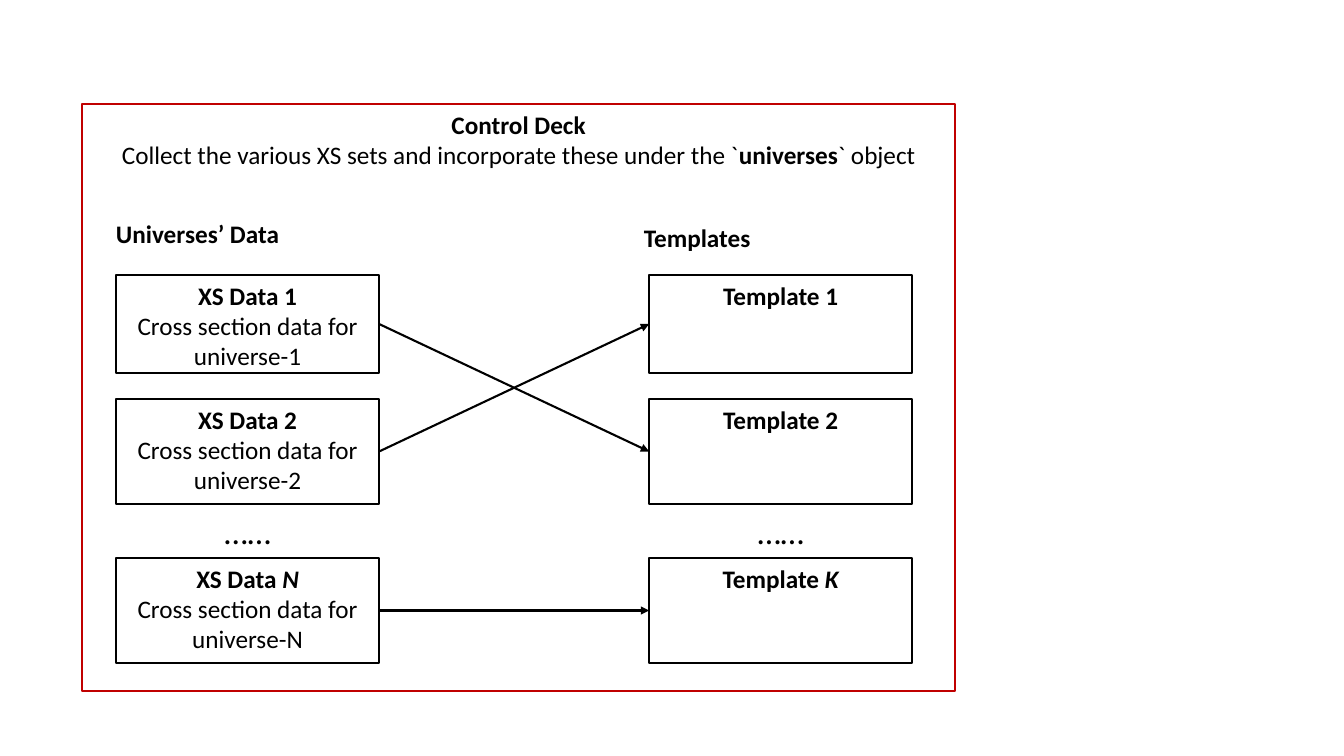
from lxml import etree
from pptx import Presentation
from pptx import util as u
from pptx.dml.color import RGBColor
from pptx.enum import shapes, text
from pptx.oxml.ns import qn

COLORS = {"ink": "000000", "frame": "C00000"}
FONT = "Calibri"
SCALE = 914400 / 100.8

DECK = [
    [("Control Deck", "b")],
    [("Collect the various XS sets and incorporate these under the `", ""),
     ("universes", "b"), ("` object", "")],
]
DATA = [
    [[("XS Data 1", "b")], [("Cross section data for universe-1", "")]],
    [[("XS Data 2", "b")], [("Cross section data for universe-2", "")]],
    [[("XS Data ", "b"), ("N", "bi")], [("Cross section data for universe-N", "")]],
]
TEMPLATES = [
    [[("Template 1", "b")]],
    [[("Template 2", "b")]],
    [[("Template ", "b"), ("K", "bi")]],
]
HEADINGS = [("Universes’ Data", (81, 213, 233, 40)), ("Templates", (581, 217, 232, 40))]
LINKS = [(0, 1), (1, 0), (2, 2)]
DECK_AREA = (82, 104, 873, 587)
COLUMNS = [(116, DATA), (649, TEMPLATES)]
ROWS = [(275, 98), (399, 105), (558, 105)]
BOX_WIDTH = 263
DOTS_TOP, DOTS_WIDTH, DOTS_HEIGHT = 506, 99, 50


def px(value):
    return u.Emu(round(value * SCALE))


def write(frame, lines, size=18):
    frame.word_wrap = True
    frame.vertical_anchor = text.MSO_ANCHOR.TOP
    for number, line in enumerate(lines):
        paragraph = frame.add_paragraph() if number else frame.paragraphs[0]
        paragraph.alignment = text.PP_ALIGN.CENTER
        for words, style in line:
            run = paragraph.add_run()
            run.text = words
            run.font.name = FONT
            run.font.size = u.Pt(size)
            run.font.bold = "b" in style
            run.font.italic = "i" in style
            run.font.color.rgb = RGBColor.from_string(COLORS["ink"])


def add_box(area, lines, color="ink"):
    box = slide.shapes.add_shape(shapes.MSO_SHAPE.RECTANGLE, *map(px, area))
    box.shadow.inherit = False
    box.fill.background()
    box.line.color.rgb = RGBColor.from_string(COLORS[color])
    box.line.width = u.Pt(1.25)
    write(box.text_frame, lines)
    return box


def add_label(area, words, style="", size=18):
    label = slide.shapes.add_textbox(*map(px, area))
    write(label.text_frame, [[(words, style)]], size)


def add_arrow(source, target):
    arrow = slide.shapes.add_connector(shapes.MSO_CONNECTOR.STRAIGHT, 0, 0, 0, 0)
    arrow.begin_connect(source, 3)
    arrow.end_connect(target, 1)
    arrow.line.color.rgb = RGBColor.from_string(COLORS["ink"])
    arrow.line.width = u.Pt(1.5)
    etree.SubElement(arrow.line._get_or_add_ln(), qn("a:tailEnd"), type="triangle")
    etree.SubElement(arrow._element.spPr, qn("a:effectLst"))


deck = Presentation()
deck.slide_width, deck.slide_height = u.Inches(13.33), u.Inches(7.5)
slide = deck.slides.add_slide(deck.slide_layouts[6])

add_box(DECK_AREA, DECK, "frame")
for heading, area in HEADINGS:
    add_label(area, heading, "b")

columns = []
for left, entries in COLUMNS:
    columns.append([add_box((left, top, BOX_WIDTH, height), lines)
                    for (top, height), lines in zip(ROWS, entries)])
    dots_left = left + (BOX_WIDTH - DOTS_WIDTH) // 2
    add_label((dots_left, DOTS_TOP, DOTS_WIDTH, DOTS_HEIGHT), "……", size=24)

data_boxes, template_boxes = columns
for source, target in LINKS:
    add_arrow(data_boxes[source], template_boxes[target])

deck.save("out.pptx")
